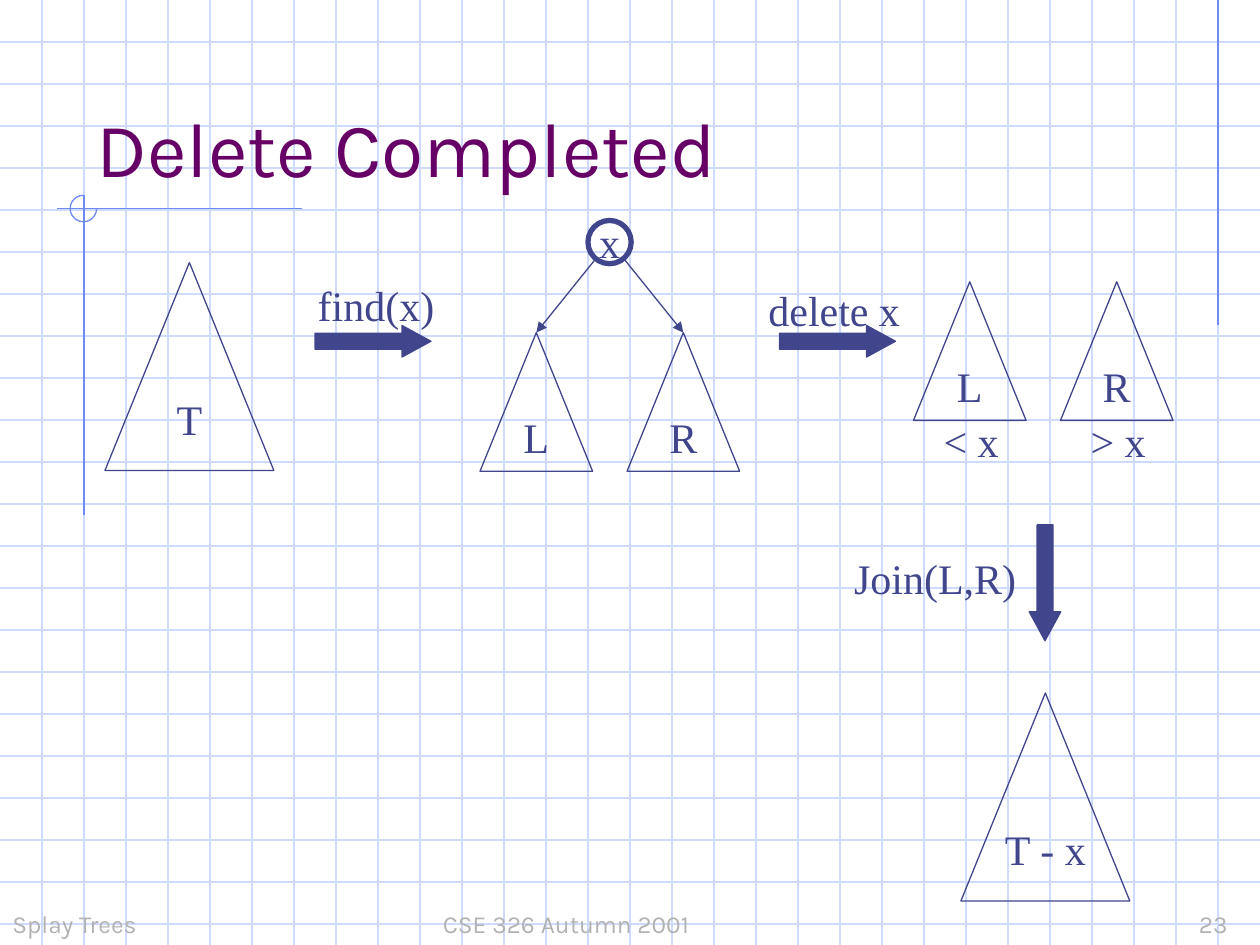
from lxml import etree
from pptx import Presentation
from pptx.dml.color import RGBColor
from pptx.enum.shapes import MSO_CONNECTOR, MSO_SHAPE
from pptx.enum.text import MSO_ANCHOR, MSO_AUTO_SIZE, PP_ALIGN
from pptx.oxml.ns import qn
from pptx.util import Inches, Pt

STRAIGHT = MSO_CONNECTOR.STRAIGHT
TRIANGLE, ELLIPSE = MSO_SHAPE.ISOSCELES_TRIANGLE, MSO_SHAPE.OVAL
ARROW, ARC = MSO_SHAPE.RIGHT_ARROW, MSO_SHAPE.ARC
TOP, MIDDLE, BOTTOM = MSO_ANCHOR.TOP, MSO_ANCHOR.MIDDLE, MSO_ANCHOR.BOTTOM
LEFT, CENTER = PP_ALIGN.LEFT, PP_ALIGN.CENTER
FIT = MSO_AUTO_SIZE.SHAPE_TO_FIT_TEXT

COLORS = {"grid": "CFDBFD", "guide": "6F89F7", "ink": "40458C",
          "title": "660066", "footer": "B2B2B2"}
COLUMNS, ROWS = 30, 22.5
WHOLE_TREE = (4.02, 4.95)
SUBTREE = (2.68, 3.3)
SUBTREE_STEP = 3.5


def cells(count):
    return Inches(count / 3)


def rgb(name):
    return RGBColor.from_string(COLORS[name])


def write(holder, text, size=24, font="Times New Roman", color="ink",
          align=LEFT, anchor=TOP, wrap=False, tab=None):
    frame = holder.text_frame
    frame.word_wrap = wrap
    frame.vertical_anchor = anchor
    paragraph = frame.paragraphs[0]
    paragraph.alignment = align
    if tab:
        stops = etree.SubElement(paragraph._p.get_or_add_pPr(), qn("a:tabLst"))
        etree.SubElement(stops, qn("a:tab"), pos=str(cells(tab)), algn="l")
    run = paragraph.add_run()
    run.text = text
    run.font.size = Pt(size)
    run.font.name = font
    run.font.color.rgb = rgb(color)


def add_label(slide, text, left, top, width, height=1.5, grow=True, **style):
    label = slide.shapes.add_textbox(*map(cells, (left, top, width, height)))
    write(label, text, **style)
    if grow:
        label.text_frame.auto_size = FIT


def add_line(slide, start, end, color, arrow=False):
    line = slide.shapes.add_connector(STRAIGHT, *map(cells, (*start, *end)))
    line.line.color.rgb = rgb(color)
    line.line.width = Pt(0.75)
    if arrow:
        etree.SubElement(line.line._get_or_add_ln(), qn("a:tailEnd"), type="triangle")
    etree.SubElement(line._element.spPr, qn("a:effectLst"))


def add_figure(slide, preset, left, top, width, height, color="ink",
               weight=0.75, solid=False):
    figure = slide.shapes.add_shape(preset, *map(cells, (left, top, width, height)))
    figure.shadow.inherit = False
    if solid:
        figure.fill.solid()
        figure.fill.fore_color.rgb = rgb(color)
    else:
        figure.fill.background()
    figure.line.color.rgb = rgb(color)
    figure.line.width = Pt(weight)
    return figure


def add_tree(slide, name, left, top, size):
    tree = add_figure(slide, TRIANGLE, left, top, *size)
    write(tree, name, align=CENTER, anchor=MIDDLE)


def add_subtrees(slide, left, top):
    for index, name in enumerate("LR"):
        add_tree(slide, name, left + index * SUBTREE_STEP, top, SUBTREE)


def add_step(slide, left, top, rotation=0):
    step = add_figure(slide, ARROW, left, top, 2.76, 0.75, solid=True)
    step.adjustments[1] = 0.917
    step.rotation = rotation


def add_background(slide):
    for row in range(1, 23):
        add_line(slide, (0, row), (COLUMNS, row), "grid")
    for column in range(1, COLUMNS):
        add_line(slide, (column, 0), (column, ROWS), "grid")
    add_line(slide, (29, 0), (29, 7.75), "guide")
    add_line(slide, (7.2, 4.97), (1.35, 4.97), "guide")
    add_line(slide, (2, 4.65), (2, 12.27), "guide")
    corner = add_figure(slide, ARC, 1.67, 4.65, 0.63, 0.63, color="guide")
    corner.adjustments[0] = 0
    corner.adjustments[1] = 162


def add_splayed_tree(slide, left, top):
    add_subtrees(slide, left, top)
    root = add_figure(slide, ELLIPSE, 14, 5.25, 1.03, 1.03, weight=3)
    write(root, "x", align=CENTER, anchor=MIDDLE)
    apex = left + SUBTREE[0] / 2
    middle = apex + SUBTREE_STEP / 2
    for side in (-1, 1):
        add_line(slide, (middle + side * 0.35, 6.18),
                 (middle + side * SUBTREE_STEP / 2, top), "ink", arrow=True)


def add_split_trees(slide, left, top):
    add_subtrees(slide, left, top)
    for index, bound in enumerate(("< x", "> x")):
        add_label(slide, bound, left + 0.42 + index * SUBTREE_STEP, 9.75, 2)


def main():
    deck = Presentation()
    deck.slide_width, deck.slide_height = cells(COLUMNS), cells(ROWS)
    slide = deck.slides.add_slide(deck.slide_layouts[6])
    add_background(slide)

    footer = {"size": 14, "font": "Karla", "color": "footer",
              "anchor": BOTTOM, "wrap": True, "grow": False}
    add_label(slide, "Splay Trees", 0, 21, 6.25, **footer)
    add_label(slide, "CSE 326 Autumn 2001\t23", 10.25, 21, 19.75, tab=18, **footer)
    add_label(slide, "Delete Completed", 2, 1, 25.5, 3.75, size=44, font="Karla",
              color="title", anchor=BOTTOM, wrap=True, grow=False)

    add_tree(slide, "T", 2.5, 6.25, WHOLE_TREE)
    add_step(slide, 7.5, 7.75)
    add_label(slide, "find(x)", 7.27, 6.5, 3.6)
    add_splayed_tree(slide, 11.43, 7.92)
    add_step(slide, 18.56, 7.75)
    add_label(slide, "delete x", 18, 6.63, 4)
    add_split_trees(slide, 21.75, 6.71)
    add_step(slide, 23.5, 13.5, rotation=90)
    add_label(slide, "Join(L,R)", 20.04, 13, 4.7)
    add_tree(slide, "T - x", 22.88, 16.5, WHOLE_TREE)
    deck.save("out.pptx")


if __name__ == "__main__":
    main()
